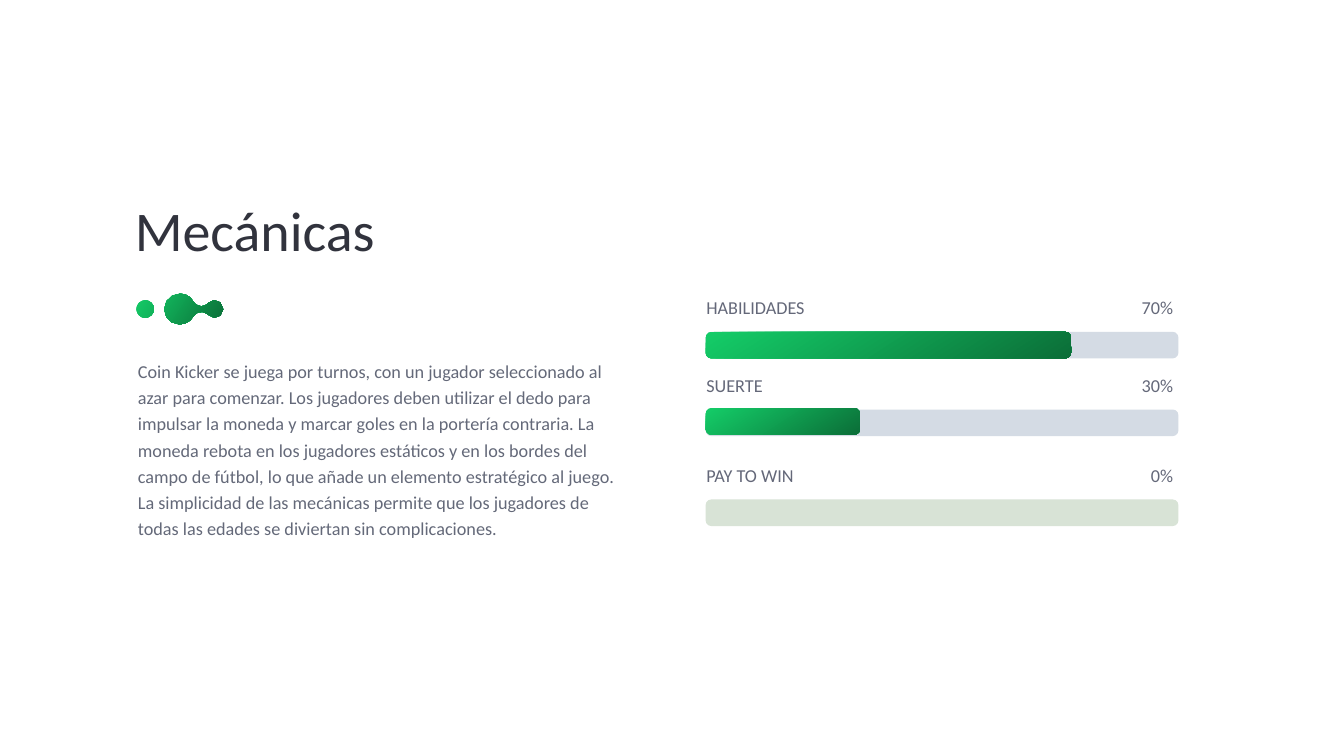
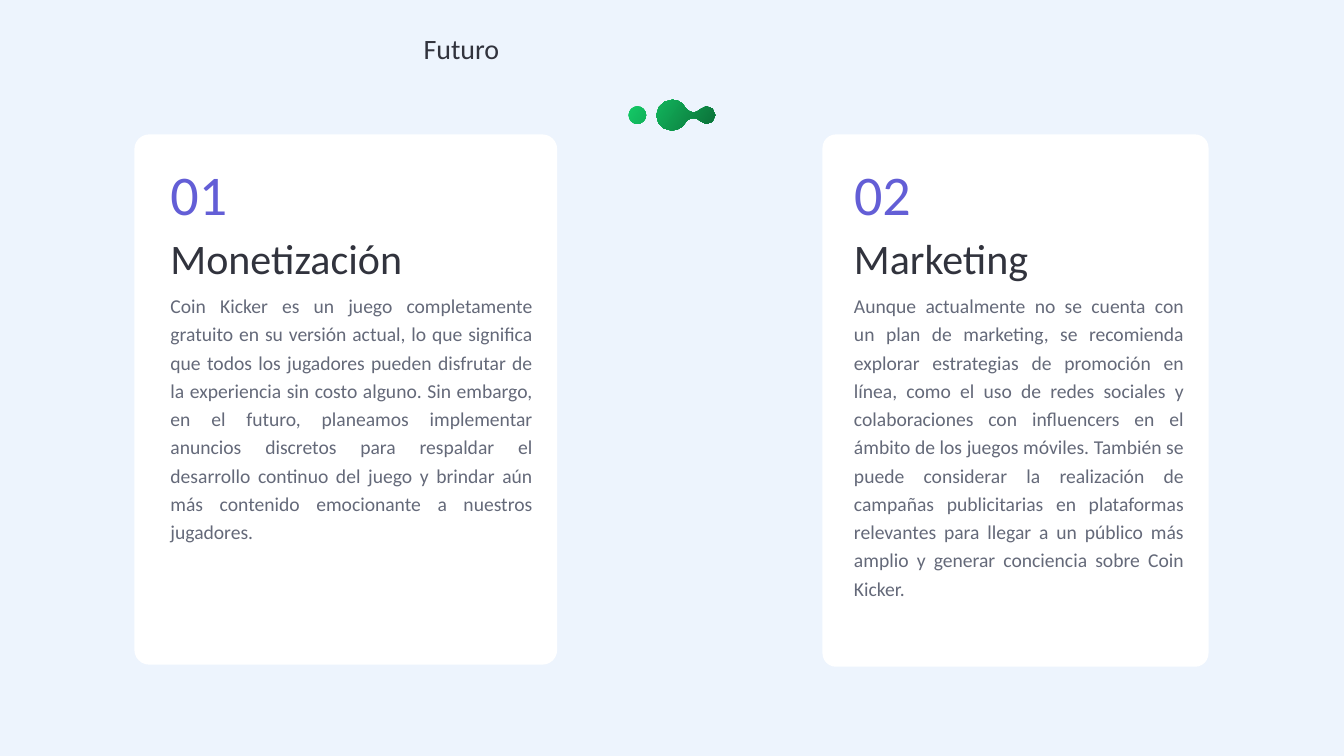
from math import cos, pi, sin

from pptx import Presentation
from pptx.dml.color import RGBColor
from pptx.enum import shapes, text
from pptx.util import Pt

WHITE = RGBColor(0xFF, 0xFF, 0xFF)
PALE_BLUE = RGBColor(0xED, 0xF4, 0xFD)
INK = RGBColor(0x31, 0x33, 0x3D)
GREY = RGBColor(0x64, 0x69, 0x79)
LABEL_GREY = RGBColor(0x64, 0x68, 0x79)
VIOLET = RGBColor(0x63, 0x5E, 0xD6)
TRACK = RGBColor(0xD4, 0xDB, 0xE4)
TRACK_EMPTY = RGBColor(0xD8, 0xE3, 0xD6)
GREEN = RGBColor(0x14, 0xCD, 0x68)
DARK_GREEN = RGBColor(0x0B, 0x6E, 0x38)

LEFT, RIGHT, JUSTIFY = text.PP_ALIGN.LEFT, text.PP_ALIGN.RIGHT, text.PP_ALIGN.JUSTIFY
TOP, MIDDLE = text.MSO_ANCHOR.TOP, text.MSO_ANCHOR.MIDDLE

HEADING = {"size": Pt(80), "color": INK}
SMALL_HEADING = {"size": Pt(40), "color": INK}
NUMBER = {"size": Pt(80), "color": VIOLET}
CARD_HEADING = {"size": Pt(60), "color": INK}
LABEL = {"size": Pt(26), "color": LABEL_GREY}
BODY = {"size": Pt(26), "color": GREY}
CARD_BODY = {"size": Pt(28), "color": GREY}
PROSE = {"line_spacing": 1.2, "space_before": Pt(20)}

BLOB_START = (62.6, 0)
BLOB_CURVES = [
    ((50.4, 0), (39.6, 9.4), (39.6, 22.3)),
    ((39.6, 33.8), (49, 43.9), (61.2, 44)),
    ((69.8, 44), (77.8, 39.6), (81.4, 32.4)),
    ((83.5, 29.5), (86.4, 27.4), (89.3, 26.6)),
    ((94.3, 25.2), (98.6, 26.6), (102.2, 30.2)),
    ((109.4, 38.9), (123.8, 33.8), (123.8, 22.3)),
    ((123.8, 10), (109.4, 5), (102.2, 13.7)),
    ((99.4, 16.6), (95.8, 18), (92.2, 18)),
    ((87.8, 18), (83.5, 15.1), (81.4, 11.5)),
    ((77.8, 4.3), (70.6, 0), (62.6, 0)),
]
CURVE_STEPS = 3
DOT_X, DOT_Y, DOT_RADIUS, DOT_STEPS = 12.5, 22, 12.5, 16

MECHANICS = (
    "Coin Kicker se juega por turnos, con un jugador seleccionado al azar para comenzar. "
    "Los jugadores deben utilizar el dedo para impulsar la moneda y marcar goles en la "
    "portería contraria. La moneda rebota en los jugadores estáticos y en los bordes del "
    "campo de fútbol, lo que añade un elemento estratégico al juego. La simplicidad de las "
    "mecánicas permite que los jugadores de todas las edades se diviertan sin complicaciones."
)
MONETIZATION = (
    "Coin Kicker es un juego completamente gratuito en su versión actual, lo que significa "
    "que todos los jugadores pueden disfrutar de la experiencia sin costo alguno. Sin "
    "embargo, en el futuro, planeamos implementar anuncios discretos para respaldar el "
    "desarrollo continuo del juego y brindar aún más contenido emocionante a nuestros jugadores."
)
MARKETING = (
    "Aunque actualmente no se cuenta con un plan de marketing, se recomienda explorar "
    "estrategias de promoción en línea, como el uso de redes sociales y colaboraciones con "
    "influencers en el ámbito de los juegos móviles. También se puede considerar la "
    "realización de campañas publicitarias en plataformas relevantes para llegar a un "
    "público más amplio y generar conciencia sobre Coin Kicker."
)


def set_values(target, values):
    for name, value in values.items():
        setattr(target, name, value)


def write(holder, words, style, align=LEFT, anchor=MIDDLE, layout=None):
    frame = holder.text_frame
    inset = Pt(4)
    set_values(frame, {
        "word_wrap": True, "auto_size": text.MSO_AUTO_SIZE.NONE, "vertical_anchor": anchor,
        "margin_left": inset, "margin_right": inset, "margin_top": inset, "margin_bottom": inset,
    })
    para = frame.paragraphs[0]
    set_values(para, {"alignment": align, **(layout or {})})
    span = para.add_run()
    span.text = words
    set_values(span.font, {"name": "Calibri", "size": style["size"]})
    span.font.color.rgb = style["color"]


def add_text(page, box, words, style, **options):
    write(page.shapes.add_textbox(*map(Pt, box)), words, style, **options)


def add_page(deck, background, title, title_box, style, anchor=MIDDLE):
    page = deck.slides.add_slide(deck.slide_layouts[5])
    page.background.fill.solid()
    page.background.fill.fore_color.rgb = background
    heading = page.shapes.title
    set_values(heading, dict(zip(("left", "top", "width", "height"), map(Pt, title_box))))
    write(heading, title, style, anchor=anchor)
    return page


def paint(shape, color):
    shape.shadow.inherit = False
    shape.line.fill.background()
    shape.fill.solid()
    shape.fill.fore_color.rgb = color


def paint_green(shape, angle):
    shape.shadow.inherit = False
    shape.line.fill.background()
    shape.fill.gradient()
    shape.fill.gradient_angle = 360 - angle
    for stop, color, position in zip(shape.fill.gradient_stops, (GREEN, DARK_GREEN), (0, 1)):
        stop.color.rgb = color
        stop.position = position


def add_rounded(page, box, rounding):
    shape = page.shapes.add_shape(shapes.MSO_SHAPE.ROUNDED_RECTANGLE, *map(Pt, box))
    shape.adjustments[0] = rounding
    return shape


def curve_points(start, curves):
    for first, second, end in curves:
        for step in range(1, CURVE_STEPS + 1):
            t = step / CURVE_STEPS
            s = 1 - t
            yield tuple(
                s**3 * a + 3 * s * s * t * b + 3 * s * t * t * c + t**3 * d
                for a, b, c, d in zip(start, first, second, end)
            )
        start = end


def add_mark(page, left, top):
    def scaled(points):
        return [(Pt(x), Pt(y)) for x, y in points]

    turns = [2 * pi * step / DOT_STEPS for step in range(DOT_STEPS)]
    dot = scaled((DOT_X + DOT_RADIUS * cos(a), DOT_Y + DOT_RADIUS * sin(a)) for a in turns)
    blob = scaled(curve_points(BLOB_START, BLOB_CURVES))
    builder = page.shapes.build_freeform(*blob[-1], scale=1.0)
    builder.add_line_segments(blob[:-1], close=True)
    builder.move_to(*dot[0])
    builder.add_line_segments(dot[1:], close=True)
    paint_green(builder.convert_to_shape(Pt(left), Pt(top)), 34)


def add_meter(page, box, label, label_width, percent, filled, lift, track):
    left, top, width, height = box
    bar_top = top + 54.5
    paint(add_rounded(page, (left, bar_top, width, height), 0.215), track)
    if filled:
        paint_green(add_rounded(page, (left, bar_top - lift, filled, height), 0.215), 57)
    add_text(page, (left - 3, top, label_width, 39.5), label, LABEL)
    add_text(page, (left + width - 127.5, top, 124, 39.5), percent, LABEL, align=RIGHT)


def add_card(page, box, indent, heading_width, body_height, number, heading, body):
    left, top, width, height = box
    inner = left + indent
    paint(add_rounded(page, box, 0.035), WHITE)
    add_text(page, (inner, top + 136.5, heading_width, 80.5), heading, CARD_HEADING)
    add_text(page, (inner, top + 217.5, width - indent - 31.5, body_height), body, CARD_BODY,
             align=JUSTIFY, anchor=TOP, layout=PROSE)
    add_text(page, (inner, top + 32, 170.5, 105), number, NUMBER)


def build_mechanics(deck):
    page = add_page(deck, WHITE, "Mecánicas", (188.5, 275, 718, 105), HEADING)
    add_mark(page, 195, 419.5)
    add_text(page, (193, 504.5, 708.5, 272), MECHANICS, BODY, anchor=TOP, layout=PROSE)
    for top, label, label_width, percent, filled, lift, track in [
        (419.5, "HABILIDADES", 176.5, "70%", 522, 0, TRACK),
        (530.5, "SUERTE", 124, "30%", 220.5, 2, TRACK),
        (659, "PAY TO WIN", 157, "0%", 0, 0, TRACK_EMPTY),
    ]:
        add_meter(page, (1008, top, 675.5, 38), label, label_width, percent, filled, lift, track)


def build_future(deck):
    page = add_page(deck, PALE_BLUE, "Futuro", (601, 41.5, 718, 105), SMALL_HEADING, anchor=TOP)
    add_card(page, (192, 192, 604, 757.5), 47.5, 371, 374.5, "01", "Monetización", MONETIZATION)
    add_card(page, (1175, 192, 551.5, 760.5), 41, 395.5, 456, "02", "Marketing", MARKETING)
    add_mark(page, 898, 142.5)


def main():
    deck = Presentation()
    deck.slide_width, deck.slide_height = Pt(1920), Pt(1080)
    build_mechanics(deck)
    build_future(deck)
    deck.save("out.pptx")


if __name__ == "__main__":
    main()
